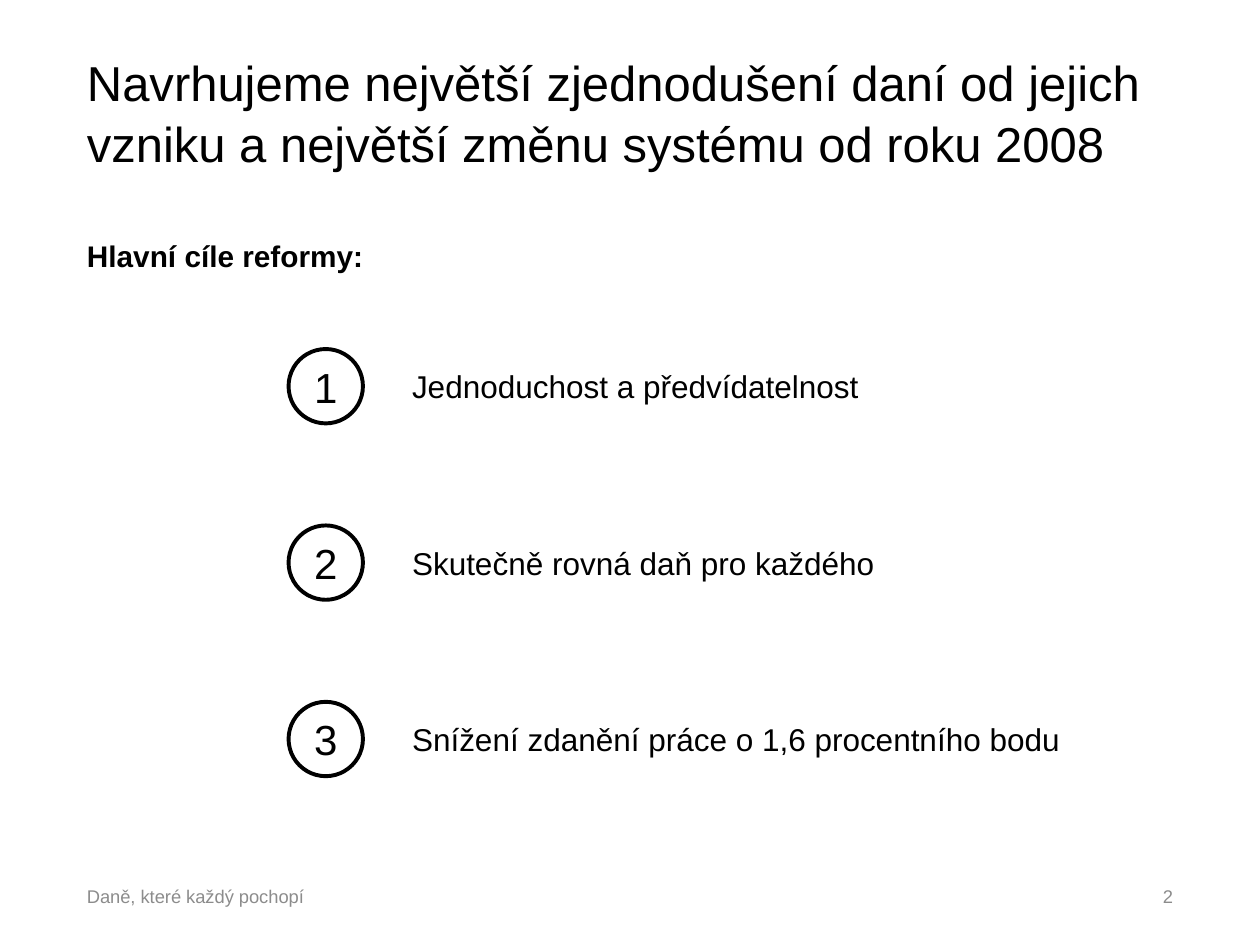
"""Build a slide that lists the three main goals of a tax reform."""
from dataclasses import dataclass

from pptx import Presentation
from pptx import util as u
from pptx.dml.color import RGBColor
from pptx.enum import shapes, text


@dataclass(frozen=True)
class Theme:
    """Colours, font and type sizes of the deck."""
    ink: RGBColor = RGBColor(0, 0, 0)
    paper: RGBColor = RGBColor(255, 255, 255)
    grey: RGBColor = RGBColor(0x8C, 0x8C, 0x8C)
    font: str = "Arial"
    title: float = 28
    badge: float = 24
    body: float = 18
    lead: float = 17
    foot: float = 10.5
    rim: float = 2.25


class Deck:
    """Hold the theme and the current slide, and draw each kind of element."""

    def __init__(self, theme, slide):
        """Keep the theme and the slide."""
        self.theme = theme
        self.slide = slide

    def fill_text(self, shape, words, size, color=None, bold=False,
                  align=text.PP_ALIGN.LEFT, anchor=text.MSO_ANCHOR.MIDDLE):
        """Put styled words in a shape and return the paragraph."""
        frame = shape.text_frame
        frame.text = words
        frame.word_wrap = True
        frame.vertical_anchor = anchor
        frame.margin_left = frame.margin_right = 0
        frame.margin_top = frame.margin_bottom = 0
        para = frame.paragraphs[0]
        para.alignment = align
        for run in para.runs:
            run.font.name = self.theme.font
            run.font.size = u.Pt(size)
            run.font.bold = bold
            run.font.color.rgb = color or self.theme.ink
        return para

    def label(self, box, words, size, **style):
        """Add a text box and return its paragraph."""
        shape = self.slide.shapes.add_textbox(*map(u.Inches, box))
        return self.fill_text(shape, words, size, **style)

    def badge(self, left, top, side, words):
        """Add a numbered circle."""
        shape = self.slide.shapes.add_shape(
            shapes.MSO_SHAPE.OVAL, *map(u.Inches, (left, top, side, side)))
        shape.shadow.inherit = False
        shape.fill.solid()
        shape.fill.fore_color.rgb = self.theme.paper
        shape.line.color.rgb = self.theme.ink
        shape.line.width = u.Pt(self.theme.rim)
        self.fill_text(shape, words, self.theme.badge,
                       align=text.PP_ALIGN.CENTER)

    def goal(self, num, words):
        """Add one row with its number and its wording."""
        side, high = 0.59, 0.47
        top = 2.77 + 1.4 * (num - 1)
        self.label((3.27, top + (side - high) / 2, 5.35, high), words,
                   self.theme.body)
        self.badge(2.29, top, side, str(num))


def main():
    """Lay out the slide and save it."""
    show = Presentation()
    show.slide_width, show.slide_height = u.Inches(10), u.Inches(7.5)
    theme = Theme()
    deck = Deck(theme, show.slides.add_slide(show.slide_layouts[6]))

    left, width = 0.69, 8.62
    head = deck.label(
        (left, 0.35, width, 1.02),
        "Navrhujeme největší zjednodušení daní od jejich "
        "vzniku a největší změnu systému od roku 2008",
        theme.title, anchor=text.MSO_ANCHOR.BOTTOM)
    head.line_spacing = 1.05
    deck.label((left, 1.89, 4.8, 0.29), "Hlavní cíle reformy:", theme.lead,
               bold=True, anchor=text.MSO_ANCHOR.TOP)

    goals = ("Jednoduchost a předvídatelnost",
             "Skutečně rovná daň pro každého",
             "Snížení zdanění práce o 1,6 procentního bodu")
    for num, words in enumerate(goals, 1):
        deck.goal(num, words)

    deck.label((left, 6.91, 5, 0.4), "Daně, které každý pochopí", theme.foot,
               color=theme.grey)
    deck.label((left + width - 2.25, 6.91, 2.25, 0.4), "2", theme.foot,
               color=theme.grey, align=text.PP_ALIGN.RIGHT)
    show.save("out.pptx")


if __name__ == "__main__":
    main()
